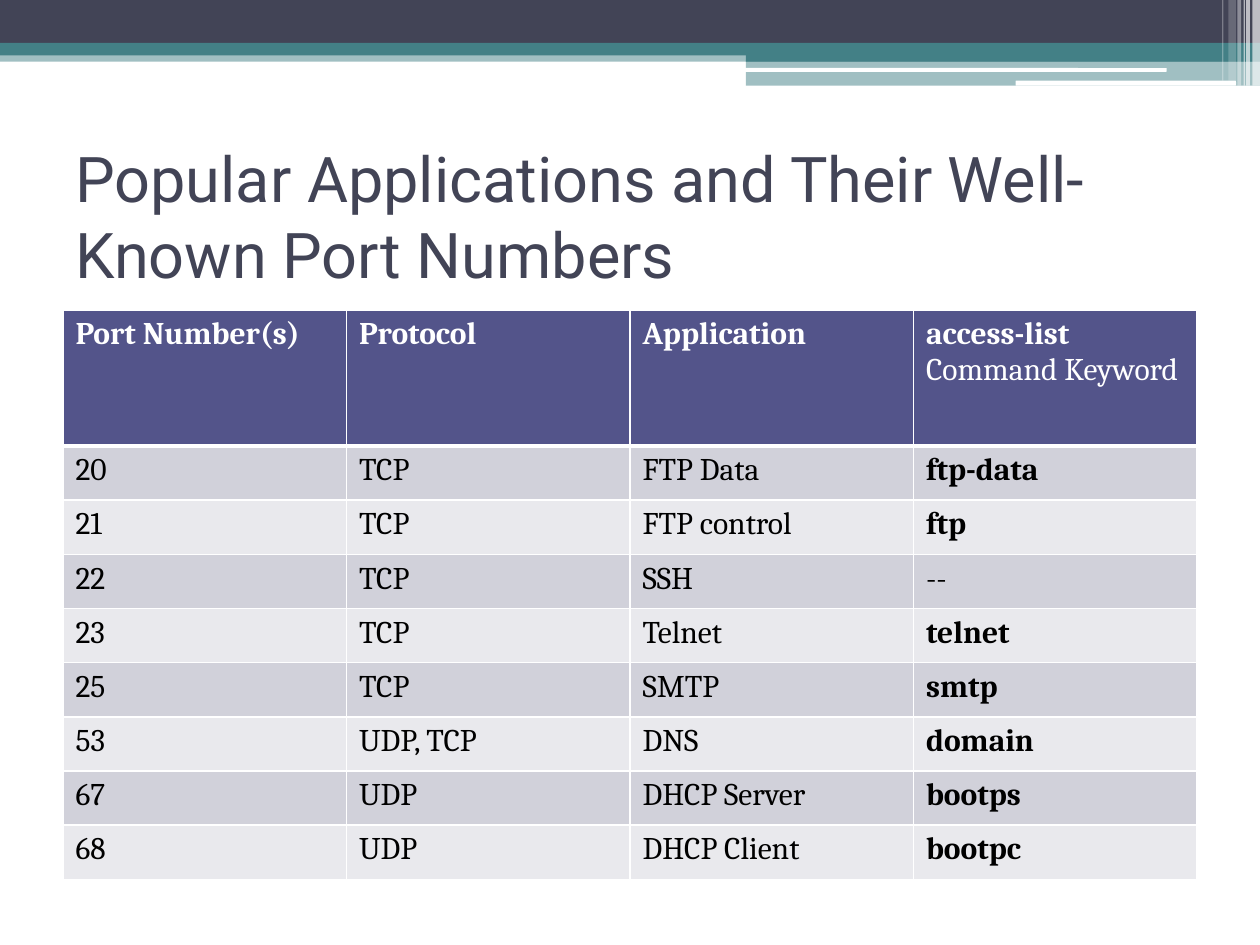
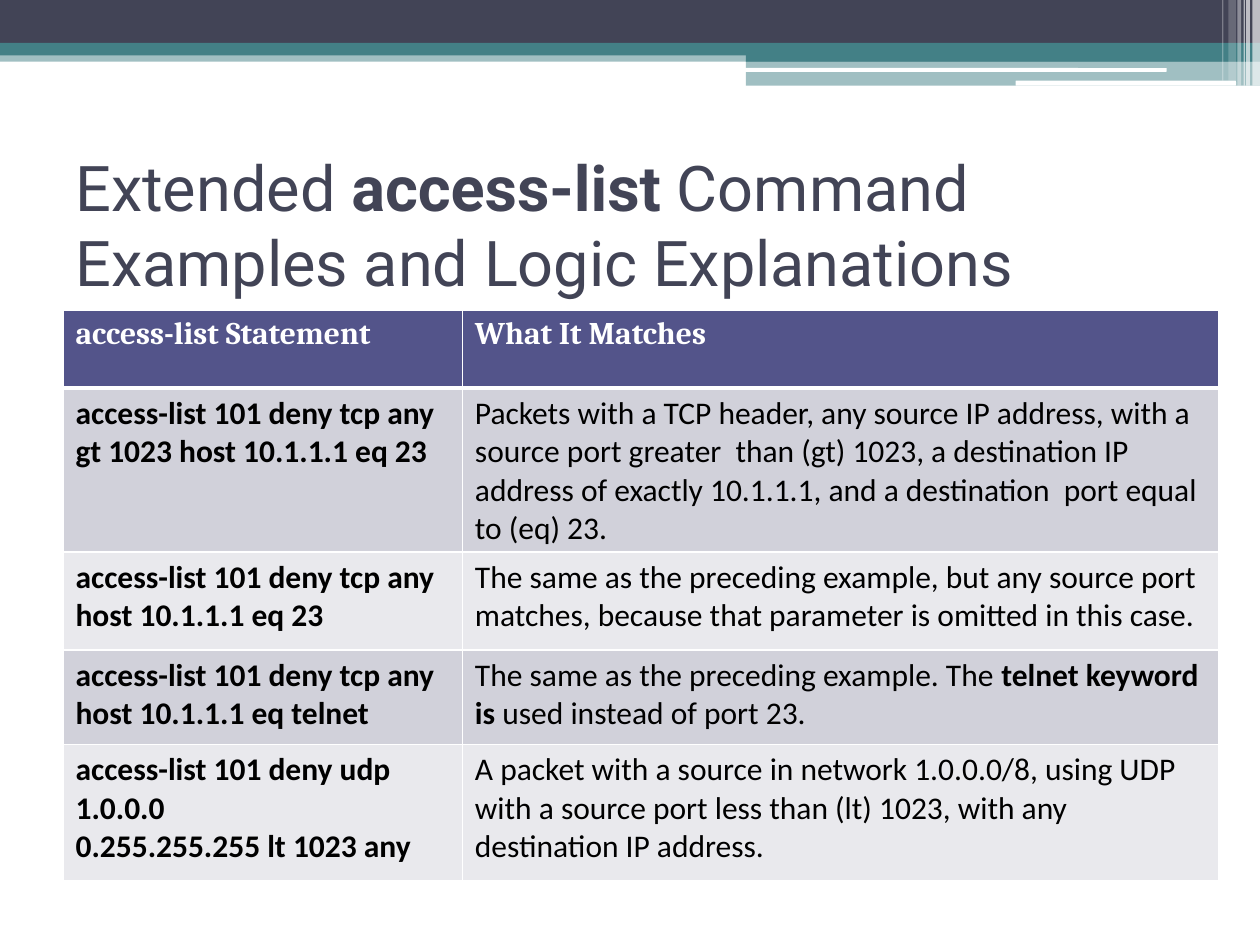
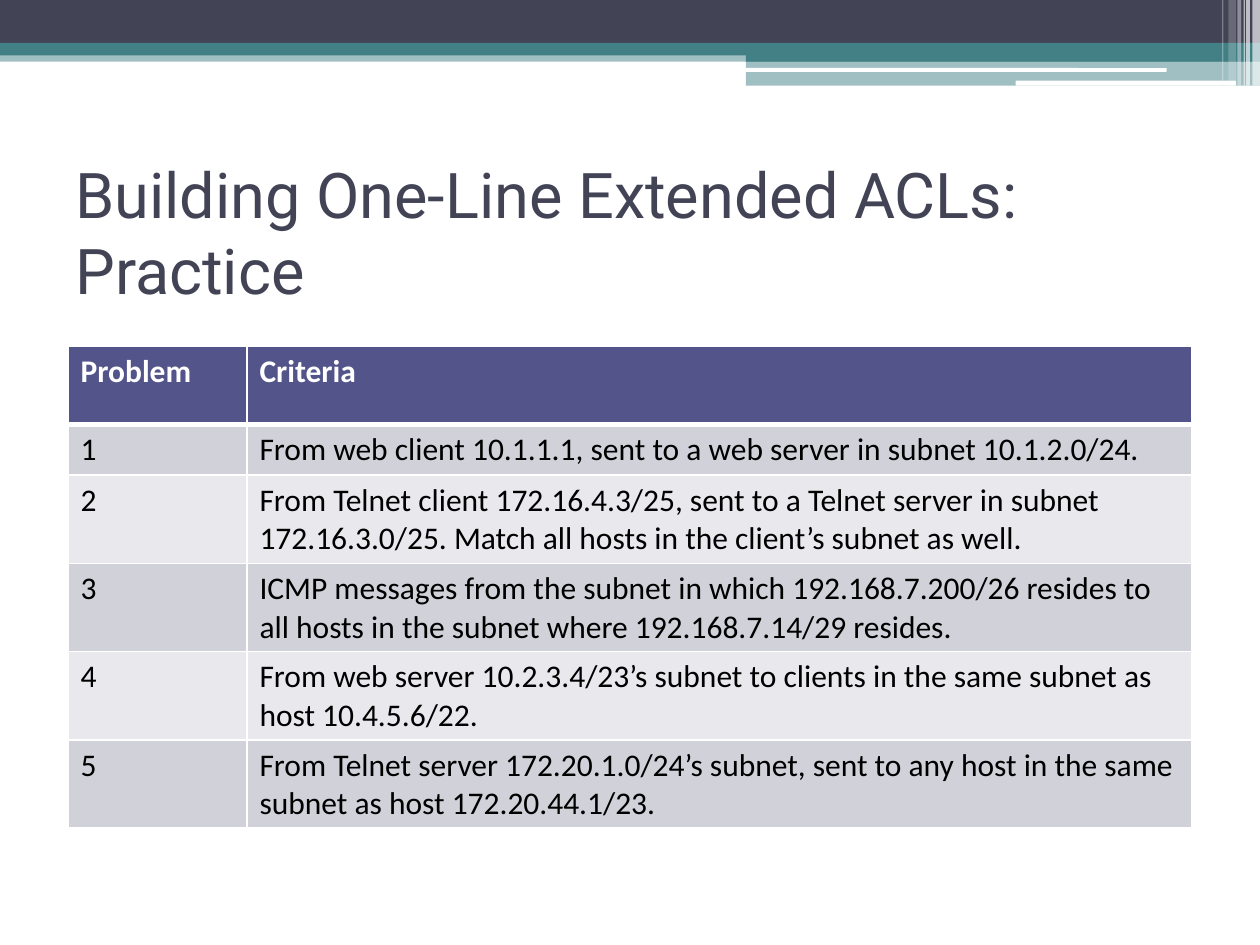
from lxml.etree import SubElement
from pptx import Presentation
from pptx.dml.color import RGBColor
from pptx.enum.shapes import MSO_SHAPE as Preset
from pptx.enum.text import MSO_ANCHOR as Anchor
from pptx.oxml.ns import qn
from pptx.util import Inches, Pt

INK = RGBColor(0x42, 0x44, 0x56)
TEAL = RGBColor(0x43, 0x80, 0x86)
WHITE = RGBColor(0xFF, 0xFF, 0xFF)
BLACK = RGBColor(0x00, 0x00, 0x00)
HEADER = RGBColor(0x53, 0x54, 0x8A)
DARK_ROW = RGBColor(0xD1, 0xD1, 0xDA)
LIGHT_ROW = RGBColor(0xE9, 0xE9, 0xED)

TITLE_FONT = "Roboto"
SERIF = "Cambria"
SANS = "Calibri"

BANNER_BOX = (0, 0, 10, 0.68)
BANDS = [
    (0, 0.4, 10, 0.09, TEAL, 50),
    (0, 0, 10, 0.34, INK, 100),
    (0, 0.34, 10, 0.1, TEAL, 100),
    (5.92, 0.39, 4.08, 0.1, TEAL, 100),
    (5.92, 0.48, 4.08, 0.2, TEAL, 50),
]
GROOVES = [(5.91, 0.54, 3.35, 0.03), (8.06, 0.64, 1.75, 0.04)]
STRIPES = [
    (9.94, 0.06, 0.68, 65),
    (9.89, 0.03, 0.68, 65),
    (9.87, 0.01, 0.68, 60),
    (9.82, 0.03, 0.68, 40),
    (9.75, 0.06, 0.64, 20),
    (9.7, 0.01, 0.64, 30),
]

PORTS = [
    ("*Port Number(s)*", "*Protocol*", "*Application*", "*access-list *Command Keyword"),
    ("20", "TCP", "FTP Data", "*ftp-data*"),
    ("21", "TCP", "FTP control", "*ftp*"),
    ("22", "TCP", "SSH", "--"),
    ("23", "TCP", "Telnet", "*telnet*"),
    ("25", "TCP", "SMTP", "*smtp*"),
    ("53", "UDP, TCP", "DNS", "*domain*"),
    ("67", "UDP", "DHCP Server", "*bootps*"),
    ("68", "UDP", "DHCP Client", "*bootpc*"),
]
STATEMENTS = [
    ("*access-list Statement*", "*What It Matches*"),
    ("*access-list 101 deny tcp any gt 1023 host 10.1.1.1 eq 23*",
     "Packets with a TCP header, any source IP address, with a source port greater  than (gt) 1023, "
     "a destination IP address of exactly 10.1.1.1, and a destination  port equal to (eq) 23."),
    ("*access-list 101 deny tcp any host 10.1.1.1 eq 23*",
     "The same as the preceding example, but any source port matches, "
     "because that parameter is omitted in this case."),
    ("*access-list 101 deny tcp any*\n*host 10.1.1.1 eq telnet*",
     "The same as the preceding example. The *telnet keyword is *used instead of port 23."),
    ("*access-list 101 deny udp 1.0.0.0*\n*0.255.255.255 lt 1023 any*",
     "A packet with a source in network 1.0.0.0/8, using UDP with a source port less than (lt) 1023, "
     "with any destination IP address."),
]
PROBLEMS = [
    ("*Problem*", "*Criteria*"),
    ("1", "From web client 10.1.1.1, sent to a web server in subnet 10.1.2.0/24."),
    ("2", "From Telnet client 172.16.4.3/25, sent to a Telnet server in subnet 172.16.3.0/25. "
          "Match all hosts in the client’s subnet as well."),
    ("3", "ICMP messages from the subnet in which 192.168.7.200/26 resides to all hosts "
          "in the subnet where 192.168.7.14/29 resides."),
    ("4", "From web server 10.2.3.4/23’s subnet to clients in the same subnet as host 10.4.5.6/22."),
    ("5", "From Telnet server 172.20.1.0/24’s subnet, sent to any host in the same subnet "
          "as host 172.20.44.1/23."),
]


def write(text_frame, marked_text, font_name, size, color):
    text_frame.text = marked_text
    for paragraph in text_frame.paragraphs:
        pieces = paragraph.text.split("*")
        paragraph.clear()
        for index, piece in enumerate(pieces):
            if piece:
                run = paragraph.add_run()
                run.text = piece
                run.font.name = font_name
                run.font.size = Pt(size)
                run.font.color.rgb = color
                run.font.bold = index % 2 == 1


def add_bar(slide, box, color, opacity=100, preset=Preset.RECTANGLE):
    bar = slide.shapes.add_shape(preset, *map(Inches, box))
    bar.shadow.inherit = False
    bar.fill.solid()
    bar.fill.fore_color.rgb = color
    bar.line.fill.background()
    if opacity < 100:
        tint = bar.element.spPr.find(".//" + qn("a:srgbClr"))
        SubElement(tint, qn("a:alpha"), val=str(opacity * 1000))


def add_banner(slide, box):
    left, top = box[:2]
    for x, y, width, height, color, opacity in BANDS:
        add_bar(slide, (left + x, top + y, width, height), color, opacity)
    for x, y, width, height in GROOVES:
        add_bar(slide, (left + x, top + y, width, height), WHITE, preset=Preset.ROUNDED_RECTANGLE)
    for x, width, height, opacity in STRIPES:
        add_bar(slide, (left + x, top, width, height), WHITE, opacity)


def add_title(slide, box, title):
    heading = slide.shapes.add_textbox(*map(Inches, box)).text_frame
    heading.word_wrap = True
    heading.vertical_anchor = Anchor.MIDDLE
    write(heading, title, TITLE_FONT, 36, INK)


def add_borders(cell, top, bottom):
    properties = cell._tc.get_or_add_tcPr()
    for side, points in (("L", 1), ("R", 1), ("T", top), ("B", bottom)):
        edge = SubElement(properties, qn(f"a:ln{side}"), w=str(Pt(points)))
        fill = SubElement(edge, qn("a:solidFill"))
        SubElement(fill, qn("a:srgbClr"), val=str(WHITE))


def add_grid(slide, box, rows, widths, heights, header_font, body_font):
    grid = slide.shapes.add_table(len(rows), len(widths), *map(Inches, box)).table
    for column, width in zip(grid.columns, widths):
        column.width = Inches(width)
    for row, height in zip(grid.rows, heights):
        row.height = Inches(height)
    for r, entries in enumerate(rows):
        is_header = r == 0
        for c, entry in enumerate(entries):
            cell = grid.cell(r, c)
            add_borders(cell, 3 if r == 1 else 1, 3 if is_header else 1)
            cell.fill.solid()
            cell.fill.fore_color.rgb = HEADER if is_header else DARK_ROW if r % 2 else LIGHT_ROW
            write(cell.text_frame, entry, header_font if is_header else body_font,
                  18, WHITE if is_header else BLACK)


def add_table_slide(deck, title, title_box, grid_box, rows, widths, heights, header_font, body_font):
    slide = deck.slides.add_slide(deck.slide_layouts[6])
    add_banner(slide, BANNER_BOX)
    add_title(slide, title_box, title)
    add_grid(slide, grid_box, rows, widths, heights, header_font, body_font)


def main():
    deck = Presentation()
    deck.slide_width, deck.slide_height = Inches(10), Inches(7.5)
    add_table_slide(deck, "Popular Applications and Their Well-Known Port Numbers",
                    (0.5, 1.25, 9, 0.92), (0.5, 2.46, 9, 4.54), PORTS,
                    [2.25] * 4, [1.08] + [0.43] * 8, SERIF, SERIF)
    add_table_slide(deck, "Extended *access-list* Command Examples and Logic Explanations",
                    (0.5, 1.19, 9, 1.17), (0.5, 2.46, 9.17, 4.54), STATEMENTS,
                    [3.17, 6], [0.62, 1.08, 0.78, 0.75, 1.08], SERIF, SANS)
    add_table_slide(deck, "Building One-Line Extended ACLs: Practice",
                    (0.5, 1.25, 9, 1.17), (0.54, 2.75, 8.92, 3.82), PROBLEMS,
                    [1.42, 7.5], [0.62, 0.38] + [0.62] * 4, SANS, SANS)
    deck.save("out.pptx")


if __name__ == "__main__":
    main()
